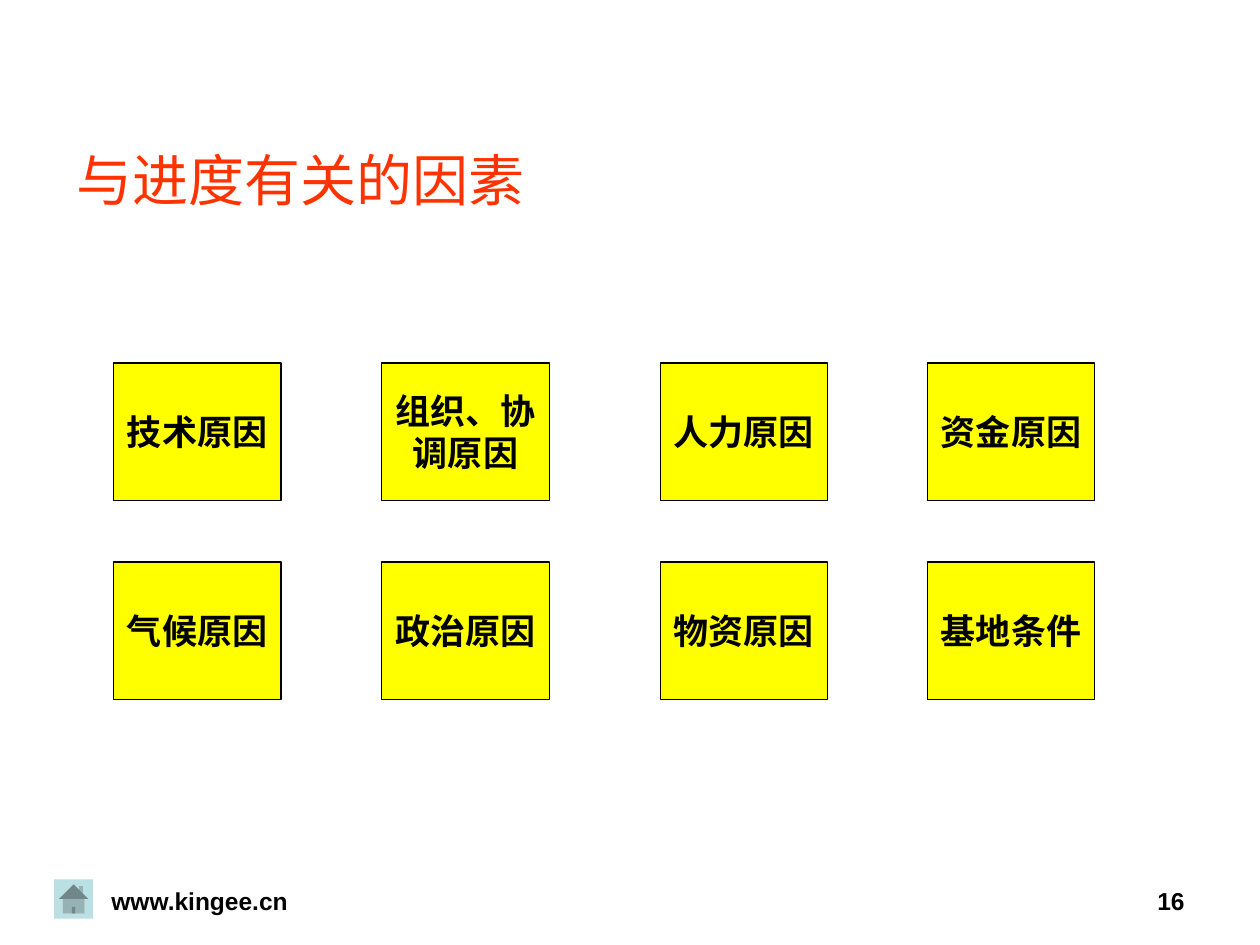
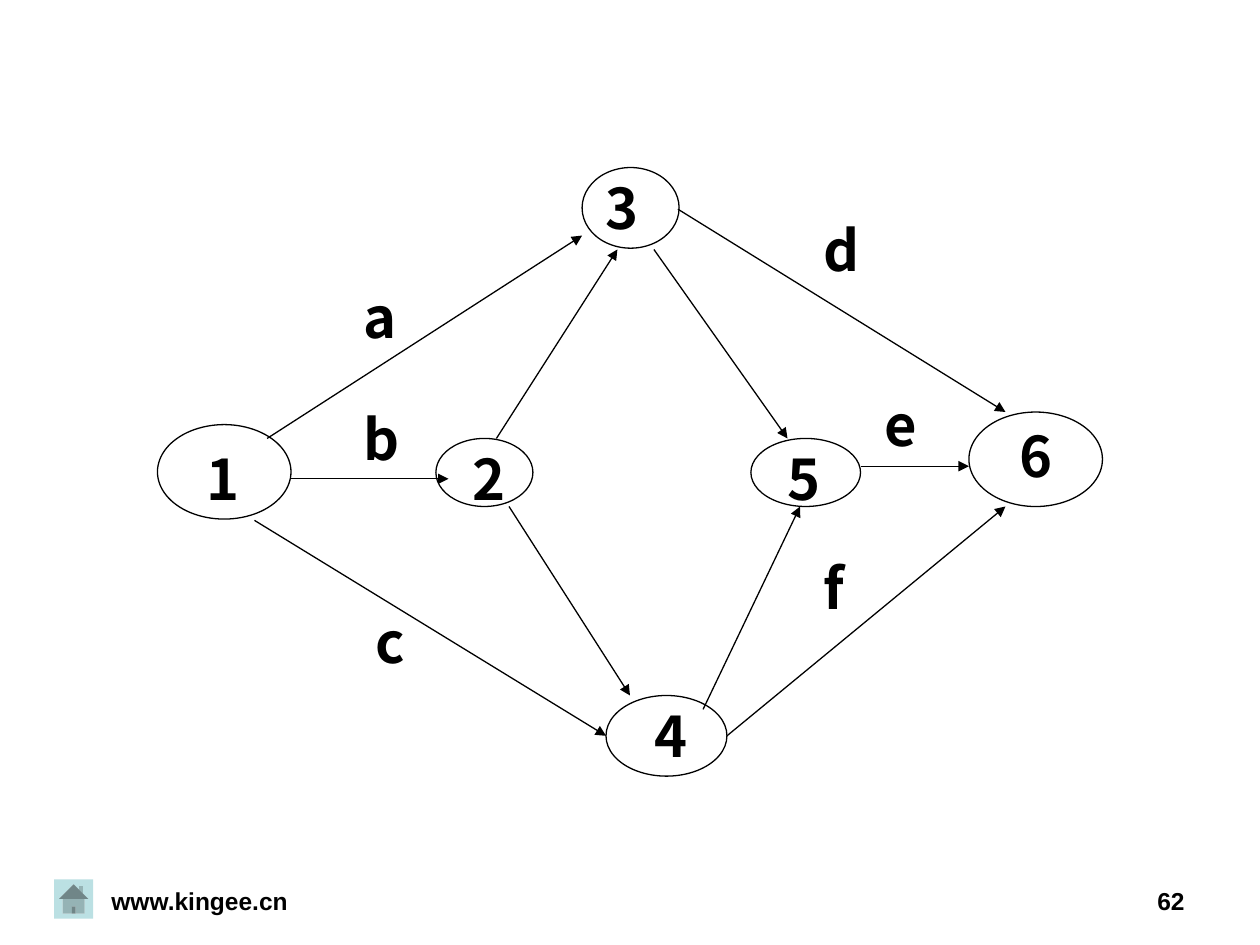
from lxml import etree
from pptx import Presentation
from pptx.dml.color import RGBColor
from pptx.enum.shapes import MSO_CONNECTOR, MSO_SHAPE
from pptx.enum.text import MSO_ANCHOR, MSO_AUTO_SIZE, PP_ALIGN
from pptx.oxml.ns import qn
from pptx.util import Inches, Pt

COLORS = {"text": "000000", "title": "FF3300", "factor": "FFFF00",
          "node": "FFFFFF", "button": "BBE0E3"}
CJK = "Noto Sans CJK SC"
FONTS = {
    "title": {"name": "Arial", "size": Pt(32), "bold": False},
    "footer": {"name": "Arial", "size": Pt(14), "bold": True},
    "factor": {"name": "Times New Roman", "size": Pt(20), "bold": True},
    "network": {"name": CJK, "size": Pt(32), "bold": True},
}

SITE = "www.kingee.cn"
TITLE = "与进度有关的因素"
FACTORS = [
    ["技术原因", "组织、协\n调原因", "人力原因", "资金原因"],
    ["气候原因", "政治原因", "物资原因", "基地条件"],
]
FACTOR_LEFTS = [0.9, 3.03, 5.24, 7.36]
FACTOR_TOP, FACTOR_PITCH = 2.88, 1.58
FACTOR_SIZE = (1.33, 1.09)

NODES = [
    (1.25, 3.37, 1.06, 0.75, ""),
    (7.69, 3.27, 1.06, 0.75, "6"),
    (3.46, 3.48, 0.77, 0.54, ""),
    (5.96, 3.48, 0.87, 0.54, ""),
    (4.62, 1.33, 0.77, 0.64, ""),
    (4.81, 5.52, 0.96, 0.64, ""),
]
ARROWS = [
    (2.12, 3.48, 4.62, 1.87), (5.38, 1.66, 7.98, 3.27),
    (5.77, 5.84, 7.98, 4.02), (2.31, 3.8, 3.56, 3.8),
    (2.02, 4.13, 4.81, 5.84), (6.83, 3.7, 7.69, 3.7),
    (3.94, 3.48, 4.9, 1.98), (5.19, 1.98, 6.25, 3.48),
    (4.04, 4.02, 5, 5.52), (5.58, 5.63, 6.35, 4.02),
]
LABEL_HEIGHT = 0.64
LABELS = [
    ("1", 1.54, 3.48, 0.96), ("3", 4.71, 1.33, 0.87),
    ("2", 3.65, 3.48, 0.77), ("4", 5.1, 5.52, 0.87),
    ("5", 6.15, 3.48, 0.96), ("a", 2.79, 2.19, 0.48),
    ("b", 2.79, 3.16, 0.38), ("c", 2.88, 4.77, 0.58),
    ("d", 6.44, 1.66, 0.87), ("e", 6.92, 3.05, 0.38),
    ("f", 6.44, 4.34, 0.69),
]


def inches(*values):
    return [Inches(v) for v in values]


def rgb(key):
    return RGBColor.from_string(COLORS[key])


def write(tf, text, font, color="text", align=PP_ALIGN.LEFT, **frame):
    for name, value in frame.items():
        setattr(tf, name, value)
    for i, line in enumerate(text.split("\n")):
        p = tf.paragraphs[0] if i == 0 else tf.add_paragraph()
        p.alignment = align
        r = p.add_run()
        r.text = line
        for name, value in FONTS[font].items():
            setattr(r.font, name, value)
        r.font.color.rgb = rgb(color)
        etree.SubElement(r.font._element, qn("a:ea"), typeface=CJK)


def add_text(shapes, text, box, font, align=PP_ALIGN.LEFT, **frame):
    tf = shapes.add_textbox(*inches(*box)).text_frame
    write(tf, text, font, align=align, word_wrap=True, **frame)


def add_filled(shapes, kind, box, fill, outlined=True):
    sp = shapes.add_shape(kind, *inches(*box))
    sp.shadow.inherit = False
    sp.fill.solid()
    sp.fill.fore_color.rgb = rgb(fill)
    if outlined:
        sp.line.color.rgb = rgb("text")
        sp.line.width = Pt(0.75)
    else:
        sp.line.fill.background()
    return sp


def add_arrow(shapes, ends):
    c = shapes.add_connector(MSO_CONNECTOR.STRAIGHT, *inches(*ends))
    c.line.color.rgb = rgb("text")
    c.line.width = Pt(0.75)
    etree.SubElement(c.line._get_or_add_ln(), qn("a:tailEnd"), type="triangle")
    etree.SubElement(c._element.spPr, qn("a:effectLst"))


def add_slide(prs, layout, number):
    s = prs.slides.add_slide(prs.slide_layouts[layout])
    add_filled(s.shapes, MSO_SHAPE.ACTION_BUTTON_HOME,
               (0.43, 6.98, 0.31, 0.31), "button", outlined=False)
    add_text(s.shapes, SITE, (0, 6.98, 3.17, 0.52), "footer", PP_ALIGN.CENTER)
    add_text(s.shapes, number, (7.17, 6.98, 2.33, 0.52), "footer", PP_ALIGN.RIGHT)
    return s


def add_title(s, text):
    sp = s.shapes.title
    sp.left, sp.top, sp.width, sp.height = inches(0.51, 1.07, 9, 0.71)
    write(sp.text_frame, text, "title", "title", word_wrap=True,
          auto_size=MSO_AUTO_SIZE.NONE, vertical_anchor=MSO_ANCHOR.MIDDLE)
    rpr = sp.text_frame.paragraphs[0].runs[0].font._element
    effects = etree.Element(qn("a:effectLst"))
    shadow = etree.SubElement(effects, qn("a:outerShdw"), dist="17961", dir="2700000")
    etree.SubElement(shadow, qn("a:srgbClr"), val=COLORS["text"])
    rpr.find(qn("a:solidFill")).addnext(effects)


def build_factors(prs):
    s = add_slide(prs, 5, "16")
    add_title(s, TITLE)
    for row, factors in enumerate(FACTORS):
        for left, text in zip(FACTOR_LEFTS, factors):
            box = (left, FACTOR_TOP + row * FACTOR_PITCH, *FACTOR_SIZE)
            sp = add_filled(s.shapes, MSO_SHAPE.RECTANGLE, box, "factor")
            write(sp.text_frame, text, "factor", align=PP_ALIGN.CENTER,
                  word_wrap=False, vertical_anchor=MSO_ANCHOR.MIDDLE)


def build_network(prs):
    s = add_slide(prs, 6, "62")
    shapes = s.shapes.add_group_shape().shapes
    for *box, text in NODES:
        sp = add_filled(shapes, MSO_SHAPE.OVAL, box, "node")
        if text:
            write(sp.text_frame, text, "network", align=PP_ALIGN.CENTER,
                  word_wrap=False, vertical_anchor=MSO_ANCHOR.MIDDLE)
            sp.text_frame.paragraphs[0].line_spacing = 0.9
    for ends in ARROWS:
        add_arrow(shapes, ends)
    for text, left, top, width in LABELS:
        add_text(shapes, text, (left, top, width, LABEL_HEIGHT), "network",
                 auto_size=MSO_AUTO_SIZE.SHAPE_TO_FIT_TEXT)


def main():
    prs = Presentation()
    prs.slide_width, prs.slide_height = inches(10, 7.5)
    build_factors(prs)
    build_network(prs)
    prs.save("out.pptx")


if __name__ == "__main__":
    main()
